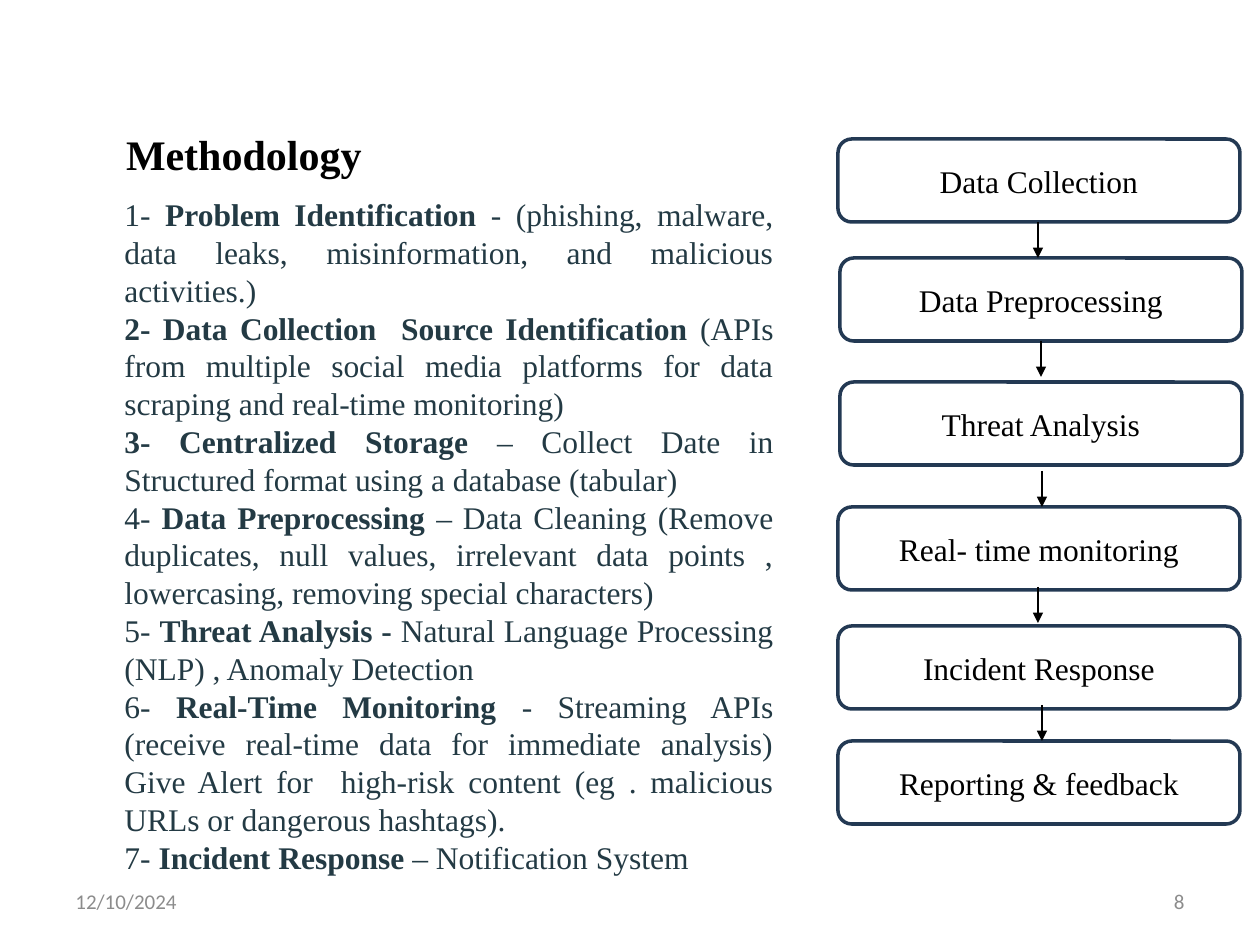
"""Build the methodology slide: numbered steps beside a vertical flow chart."""
from dataclasses import dataclass

from lxml.etree import SubElement
from pptx import Presentation
from pptx.dml.color import RGBColor
from pptx.enum.shapes import MSO_CONNECTOR, MSO_SHAPE
from pptx.enum.text import MSO_ANCHOR, MSO_AUTO_SIZE, PP_ALIGN
from pptx.oxml.ns import qn
from pptx.util import Emu, Pt


@dataclass(frozen=True)
class Theme:
    serif: str = "Times New Roman"
    sans: str = "Calibri"
    black: RGBColor = RGBColor.from_string("000000")
    steps: RGBColor = RGBColor.from_string("233A44")
    outline: RGBColor = RGBColor.from_string("233953")
    footer: RGBColor = RGBColor.from_string("8C8C8C")
    title_size: Pt = Pt(24)
    text_size: Pt = Pt(18)
    footer_size: Pt = Pt(12)
    step_spacing: Pt = Pt(21.6)


def px(*lengths):
    return [Emu(round(length * 914400 / 126)) for length in lengths]


def style(paragraph, font, size, color, align):
    paragraph.alignment = align
    for span in paragraph.runs:
        span.font.name = font
        span.font.size = size
        span.font.color.rgb = color


theme = Theme()
deck = Presentation()
deck.slide_width, deck.slide_height = px(1260, 945)
page = deck.slides.add_slide(deck.slide_layouts[5])

title = page.shapes.title
title.left, title.top, title.width, title.height = px(113, 116, 1034, 131)
frame = title.text_frame
frame.text = "Methodology"
frame.word_wrap = True
frame.auto_size = MSO_AUTO_SIZE.NONE
frame.vertical_anchor = MSO_ANCHOR.TOP
frame.margin_left, frame.margin_top, frame.margin_right, frame.margin_bottom = px(13, 13, 13, 13)
style(frame.paragraphs[0], theme.serif, theme.title_size, theme.black, PP_ALIGN.LEFT)
frame.paragraphs[0].runs[0].font.bold = True

footers = [
    (63, "12/10/2024", PP_ALIGN.LEFT),
    (903, "8", PP_ALIGN.RIGHT),
]
for left, text, align in footers:
    box = page.shapes.add_textbox(*px(left, 876, 294, 50))
    box.text_frame.text = text
    box.text_frame.word_wrap = True
    box.text_frame.vertical_anchor = MSO_ANCHOR.MIDDLE
    style(box.text_frame.paragraphs[0], theme.sans, theme.footer_size, theme.footer, align)

steps = [
    ("1- ", "Problem Identification", " - (phishing, malware, data leaks, misinformation, and malicious activities.)"),
    ("", "2- Data Collection  Source Identification ",
     "(APIs from multiple social media platforms for data scraping and real-time monitoring)"),
    ("", "3- Centralized Storage ", "– Collect Date in Structured format using a database (tabular)"),
    ("4- ", "Data Preprocessing ",
     "– Data Cleaning (Remove duplicates, null values, irrelevant data points , "
     "lowercasing, removing special characters)"),
    ("5- ", "Threat Analysis - ", "Natural Language Processing (NLP) , Anomaly Detection "),
    ("6- ", "Real-Time Monitoring ",
     "- Streaming APIs (receive real-time data for immediate analysis) "
     "Give Alert for  high-risk content (eg . malicious URLs or dangerous hashtags)."),
    ("7- ", "Incident Response ", "– Notification System "),
]
box = page.shapes.add_textbox(*px(112, 189, 674, 693))
frame = box.text_frame
frame.word_wrap = True
for index, (number, heading, detail) in enumerate(steps):
    para = frame.add_paragraph() if index else frame.paragraphs[0]
    para.line_spacing = theme.step_spacing
    for text, bold in ((number, False), (heading, True), (detail, False)):
        if text:
            span = para.add_run()
            span.text = text
            span.font.bold = bold
    style(para, theme.serif, theme.text_size, theme.steps, PP_ALIGN.JUSTIFY)

stages = [
    (838, 139, "Data Collection"),
    (840, 258, "Data Preprocessing"),
    (840, 382, "Threat Analysis"),
    (838, 507, "Real- time monitoring"),
    (838, 626, "Incident Response"),
    (838, 741, "Reporting & feedback"),
]
for left, top, text in stages:
    box = page.shapes.add_shape(MSO_SHAPE.ROUNDED_RECTANGLE, *px(left, top, 402, 83))
    box.shadow.inherit = False
    box.fill.background()
    box.line.color.rgb = theme.outline
    box.line.width = Pt(2)
    box.text_frame.text = text
    box.text_frame.word_wrap = True
    box.text_frame.vertical_anchor = MSO_ANCHOR.MIDDLE
    style(box.text_frame.paragraphs[0], theme.serif, theme.text_size, theme.black, PP_ALIGN.CENTER)

for x, top in [(1038, 222), (1041, 341), (1042, 471), (1038, 587), (1042, 705)]:
    arrow = page.shapes.add_connector(MSO_CONNECTOR.STRAIGHT, *px(x, top, x, top + 36))
    arrow.line.color.rgb = theme.black
    arrow.line.width = Pt(0.75)
    SubElement(arrow.line._get_or_add_ln(), qn("a:tailEnd"), type="triangle")
    SubElement(arrow._element.spPr, qn("a:effectLst"))

deck.save("out.pptx")
